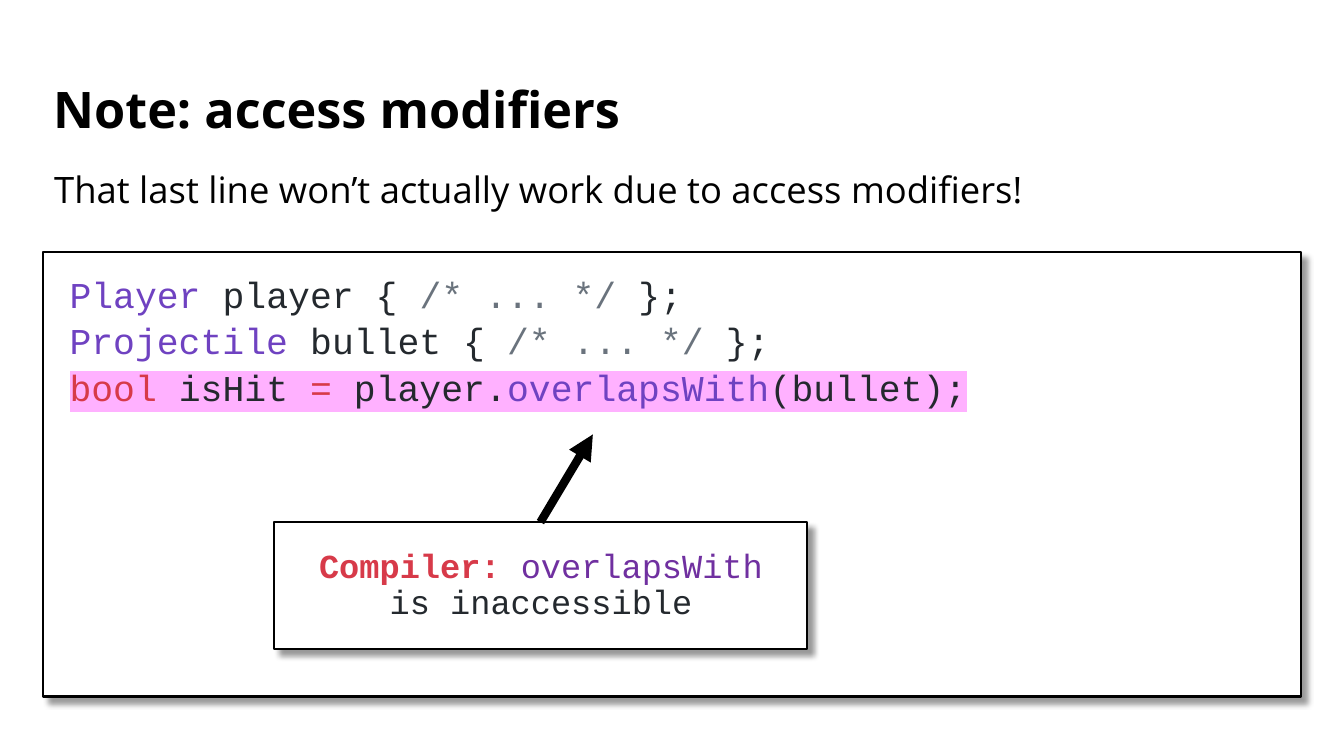
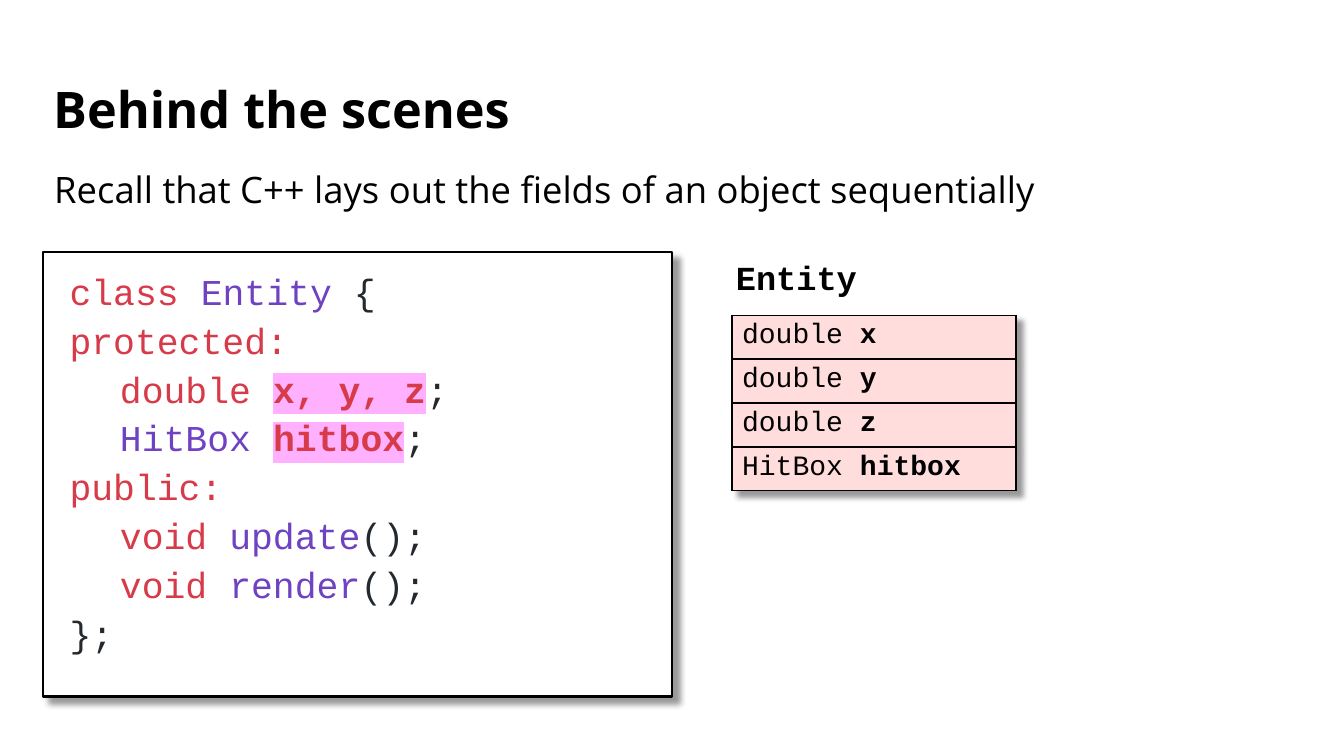
"""Build two slides on C++ access modifiers and object layout."""
from lxml.etree import SubElement
from pptx import Presentation
from pptx.dml.color import RGBColor
from pptx.enum.shapes import MSO_CONNECTOR, MSO_SHAPE
from pptx.enum.text import MSO_ANCHOR, PP_ALIGN
from pptx.oxml import parse_xml
from pptx.oxml.ns import nsdecls, qn
from pptx.util import Pt

PX = 9144
SANS, MONO = "Open Sans", "Courier New"
BLACK, WHITE, PINK, ROSE = "000000", "FFFFFF", "FFB1FF", "FFDDDD"
RED, VIOLET, INK, GRAY, PURPLE = "D73A49", "6F42C1", "24292E", "6A737D", "7030A0"

LEFT, WIDE = 43, 1247
TITLE = (LEFT, 69, WIDE, 84)
INTRO = (LEFT, 169, WIDE, 47)
TOP, HIGH = 250, 441
INSET, TAB = 25, 50

HIT = [
    [("Player", VIOLET), (" player {", INK), (" /* ... */", GRAY), (" };", INK)],
    [("Projectile", VIOLET), (" bullet {", INK), (" /* ... */", GRAY), (" };", INK)],
    [("bool", RED, "h"), (" isHit ", INK, "h"), ("=", RED, "h"),
     (" player.", INK, "h"), ("overlapsWith", VIOLET, "h"), ("(bullet);", INK, "h")],
]
ERROR = [[("Compiler: ", RED, "b"), ("overlapsWith", PURPLE), (" is inaccessible", INK)]]
ENTITY = [
    [("class ", RED), ("Entity", VIOLET), (" {", INK)],
    [("protected:", RED)],
    [("\tdouble ", RED), ("x, y, z", RED, "bh"), (";", INK)],
    [("\tHitBox ", VIOLET), ("hitbox", RED, "bh"), (";", INK)],
    [("public:", RED)],
    [("\tvoid ", RED), ("update", VIOLET), ("();", INK)],
    [("\tvoid ", RED), ("render", VIOLET), ("();", INK)],
    [("};", INK)],
]
FIELDS = [("double", "x"), ("double", "y"), ("double", "z"), ("HitBox", "hitbox")]


def rgb(code):
    """Turn a hex string into a colour."""
    return RGBColor.from_string(code)


def shade():
    """Make the soft shadow that boxes and the table share."""
    return parse_xml(
        f'<a:effectLst {nsdecls("a")}><a:outerShdw blurRad="{Pt(4)}" dist="{Pt(6)}" '
        'dir="2700000" algn="tl" rotWithShape="0"><a:srgbClr val="000000">'
        '<a:alpha val="40000"/></a:srgbClr></a:outerShdw></a:effectLst>')


def write(frame, lines, face, size, space=1.0, before=0, indent=1, align=PP_ALIGN.LEFT):
    """Fill a frame with lines of (text, colour, flags) runs."""
    frame.word_wrap = True
    for row, line in enumerate(lines):
        para = frame.add_paragraph() if row else frame.paragraphs[0]
        props = para._p.get_or_add_pPr()
        props.set("marL", str(indent * PX))
        props.set("indent", "0")
        para.alignment = align
        para.line_spacing = space
        para.space_before = Pt(before if row else 0)
        if line[0][0].startswith("\t"):
            tabs = SubElement(props, qn("a:tabLst"))
            SubElement(tabs, qn("a:tab"), pos=str(TAB * PX), algn="l")
        for text, tone, *flags in line:
            run = para.add_run()
            run.text = text
            font = run.font
            font.name, font.size = face, Pt(size)
            font.bold = "b" in "".join(flags)
            font.color.rgb = rgb(tone)
            if "h" in "".join(flags):
                mark = parse_xml(f'<a:highlight {nsdecls("a")}>'
                                 f'<a:srgbClr val="{PINK}"/></a:highlight>')
                run._r.rPr.find(qn("a:solidFill")).addnext(mark)


def label(slide, area, lines, face, size, anchor=MSO_ANCHOR.TOP, **style):
    """Place plain text."""
    frame = slide.shapes.add_textbox(*(n * PX for n in area)).text_frame
    frame.vertical_anchor = anchor
    write(frame, lines, face, size, **style)


def panel(slide, area, lines, size, anchor=MSO_ANCHOR.TOP, **style):
    """Place a bordered, shadowed box of code."""
    box = slide.shapes.add_shape(MSO_SHAPE.RECTANGLE, *(n * PX for n in area))
    box.fill.solid()
    box.fill.fore_color.rgb = rgb(WHITE)
    box.line.color.rgb = rgb(BLACK)
    box.line.width = Pt(1.5)
    box._element.spPr.append(shade())
    frame = box.text_frame
    frame.vertical_anchor = anchor
    frame.margin_left = frame.margin_right = INSET * PX
    frame.margin_top = frame.margin_bottom = INSET * PX
    write(frame, lines, MONO, size, **style)


def arrow(slide, start, end):
    """Draw a thick arrow."""
    line = slide.shapes.add_connector(
        MSO_CONNECTOR.STRAIGHT, *(n * PX for n in start + end))
    line.line.color.rgb = rgb(BLACK)
    line.line.width = Pt(6)
    SubElement(line.line._get_or_add_ln(), qn("a:tailEnd"), type="triangle")
    SubElement(line._element.spPr, qn("a:effectLst"))


def memory(slide, left, top, width, step):
    """Draw the fields of an object as a one-column table."""
    table = slide.shapes.add_table(
        len(FIELDS), 1, left * PX, top * PX, width * PX, step * len(FIELDS) * PX).table
    table.first_row = table.horz_banding = False
    table._tbl.tblPr.insert(0, shade())
    for row, (kind, name) in enumerate(FIELDS):
        cell = table.cell(row, 0)
        write(cell.text_frame, [[(kind + " ", BLACK), (name, BLACK, "b")]],
              MONO, 20, indent=0)
        props = cell._tc.get_or_add_tcPr()
        for side in ("lnL", "lnR", "lnT", "lnB"):
            props.append(parse_xml(
                f'<a:{side} {nsdecls("a")} w="{Pt(1.5)}"><a:solidFill>'
                f'<a:srgbClr val="{BLACK}"/></a:solidFill></a:{side}>'))
        cell.fill.solid()
        cell.fill.fore_color.rgb = rgb(ROSE)


def page(deck, title, intro):
    """Start a slide with its title and opening line."""
    slide = deck.slides.add_slide(deck.slide_layouts[6])
    label(slide, TITLE, [[(title, BLACK, "b")]], SANS, 36, MSO_ANCHOR.MIDDLE,
          space=0.9, indent=0)
    label(slide, INTRO, [[(intro, BLACK)]], SANS, 26, space=0.8)
    return slide


def main():
    """Build and save the deck."""
    deck = Presentation()
    deck.slide_width, deck.slide_height = 1333 * PX, 750 * PX

    slide = page(deck, "Note: access modifiers",
                 "That last line won’t actually work due to access modifiers!")
    panel(slide, (LEFT, TOP, WIDE, HIGH), HIT, 26, space=0.9, before=5)
    panel(slide, (272, 518, 528, 126), ERROR, 24, MSO_ANCHOR.MIDDLE,
          space=0.9, align=PP_ALIGN.CENTER)
    arrow(slide, (536, 518), (588, 431))

    slide = page(deck, "Behind the scenes",
                 "Recall that C++ lays out the fields of an object sequentially")
    panel(slide, (LEFT, TOP, 624, HIGH), ENTITY, 26, space=0.8, before=10)
    memory(slide, 726, 313, 282, 42)
    label(slide, (720, TOP, 148, 50), [[("Entity", BLACK, "b")]], MONO, 24, indent=0)
    deck.save("out.pptx")


if __name__ == "__main__":
    main()
